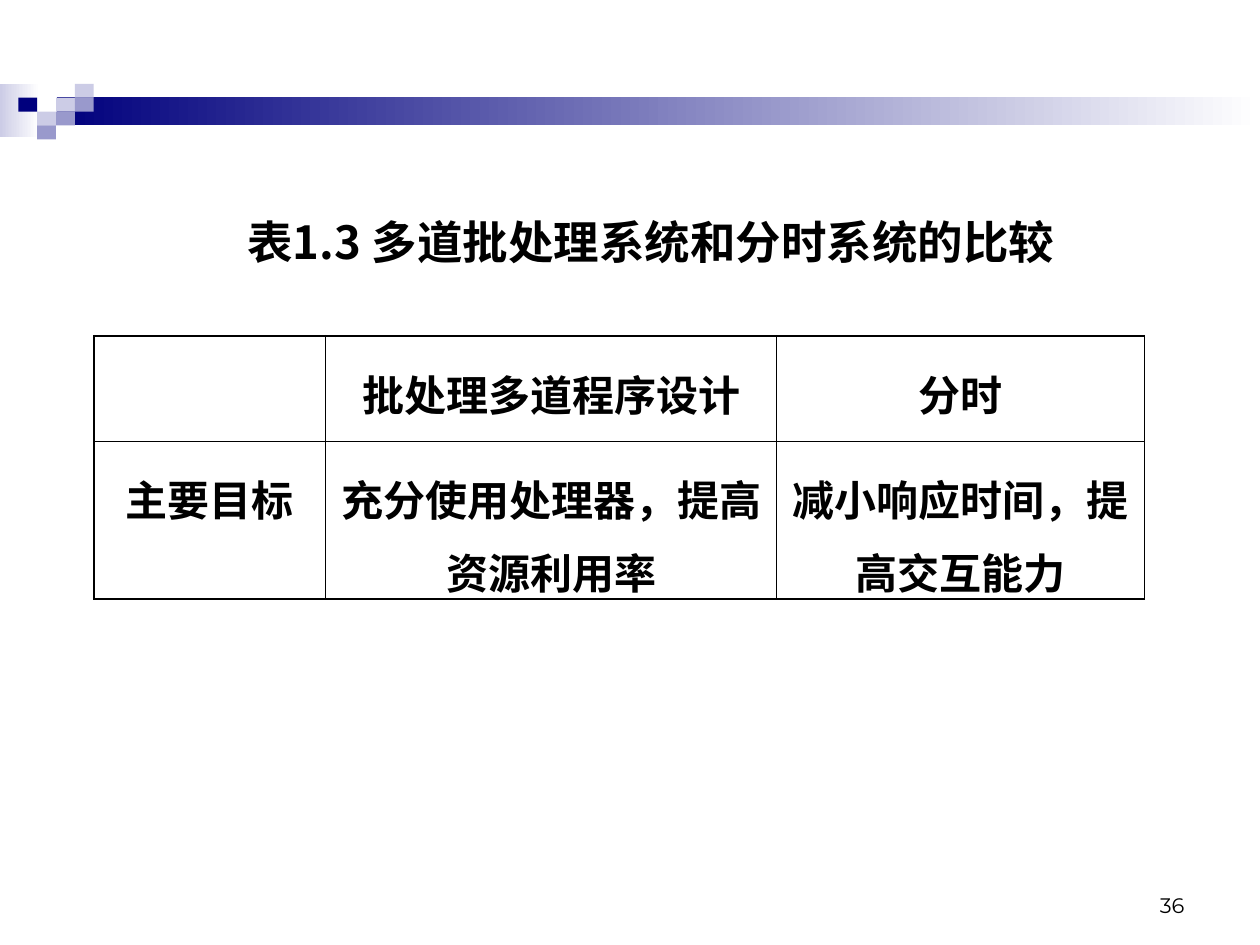
"""Build the slide comparing batch and time-sharing systems."""
from lxml import etree
from pptx import Presentation
from pptx import util as u
from pptx.dml import color
from pptx.enum import shapes, text
from pptx.oxml import ns

TITLE = "表1.3 多道批处理系统和分时系统的比较"
PAGE_NUMBER = "36"
ROWS = [
    ["", "批处理多道程序设计", "分时"],
    ["主要目标", "充分使用处理器，提高资源利用率", "减小响应时间，提高交互能力"],
]
COLUMN_WIDTHS = [4.66, 9.1, 7.41]
ROW_HEIGHTS = [2.12, 3.18]
CJK_FONT = "Noto Sans CJK SC"
NAVY, BLUE, PALE, WHITE, BLACK = "00007D", "9999CC", "CCCCE6", "FFFFFF", "000000"
BANDS = [
    (0, 1.7, 0.79, 1.07, PALE),
    (1.14, 1.96, 24.26, 0.56, NAVY),
]
TILE_WIDTH, TILE_HEIGHT = 0.38, 0.28
TILES = [(2, 1, PALE), (3, 0, PALE), (3, 1, BLUE), (1, 2, PALE),
         (0, 1, NAVY), (2, 2, BLUE), (1, 3, BLUE)]


def rgb(value):
    return color.RGBColor.from_string(value)


def add_block(slide, left, top, width, height):
    block = slide.shapes.add_shape(shapes.MSO_SHAPE.RECTANGLE, u.Cm(left),
                                   u.Cm(top), u.Cm(width), u.Cm(height))
    block.shadow.inherit = False
    block.line.fill.background()
    return block


def add_band(slide, left, top, width, height, start):
    fill = add_block(slide, left, top, width, height).fill
    fill.gradient()
    fill.gradient_angle = 0
    for stop, value, position in zip(fill.gradient_stops, (start, WHITE), (0, 1)):
        stop.color.rgb = rgb(value)
        stop.position = position


def add_tile(slide, column, row, value):
    tile = add_block(slide, 0.37 + column * TILE_WIDTH, 1.69 + row * TILE_HEIGHT,
                     TILE_WIDTH, TILE_HEIGHT)
    tile.fill.solid()
    tile.fill.fore_color.rgb = rgb(value)


def write(frame, words, size, font, align, bold=False):
    frame.text = words
    frame.word_wrap = True
    paragraph = frame.paragraphs[0]
    paragraph.alignment = align
    for run in paragraph.runs:
        run.font.size = u.Pt(size)
        run.font.name = font
        run.font.bold = bold
        run.font.color.rgb = rgb(BLACK)
        etree.SubElement(run.font._element, ns.qn("a:ea"), typeface=CJK_FONT)
    return paragraph


def add_label(slide, box, words, anchor, *style):
    frame = slide.shapes.add_textbox(*map(u.Cm, box)).text_frame
    frame.vertical_anchor = anchor
    write(frame, words, *style)


def add_borders(cell, outer_sides):
    properties = cell._tc.get_or_add_tcPr()
    for index, side in enumerate(("L", "R", "T", "B")):
        width = u.Pt(1.08 if side in outer_sides else 0.45)
        border = etree.Element(ns.qn(f"a:ln{side}"), w=str(width))
        fill = etree.SubElement(border, ns.qn("a:solidFill"))
        etree.SubElement(fill, ns.qn("a:srgbClr"), val=BLACK)
        properties.insert(index, border)


def add_comparison(slide):
    table = slide.shapes.add_table(
        len(ROWS), len(COLUMN_WIDTHS), u.Cm(1.9), u.Cm(6.77),
        u.Cm(sum(COLUMN_WIDTHS)), u.Cm(sum(ROW_HEIGHTS))).table
    for column, width in zip(table.columns, COLUMN_WIDTHS):
        column.width = u.Cm(width)
    for r, (words_row, height) in enumerate(zip(ROWS, ROW_HEIGHTS)):
        table.rows[r].height = u.Cm(height)
        for c, words in enumerate(words_row):
            cell = table.cell(r, c)
            cell.fill.background()
            cell.margin_top = u.Cm(0.29)
            cell.margin_bottom = 0
            paragraph = write(cell.text_frame, words, 24, "Arial",
                              text.PP_ALIGN.CENTER, True)
            paragraph.line_spacing = 1.2
            edges = {"L": c == 0, "R": c == len(words_row) - 1,
                     "T": r == 0, "B": r == len(ROWS) - 1}
            add_borders(cell, [side for side, outer in edges.items() if outer])


def main():
    deck = Presentation()
    deck.slide_width, deck.slide_height = u.Cm(25.4), u.Cm(19.05)
    slide = deck.slides.add_slide(deck.slide_layouts[6])
    for band in BANDS:
        add_band(slide, *band)
    for tile in TILES:
        add_tile(slide, *tile)
    add_label(slide, (18.2, 17.36, 5.93, 1.27), PAGE_NUMBER,
              text.MSO_ANCHOR.BOTTOM, 12, "Montserrat", text.PP_ALIGN.RIGHT)
    add_label(slide, (1.7, 4.02, 22.86, 1.69), TITLE,
              text.MSO_ANCHOR.MIDDLE, 26, CJK_FONT, text.PP_ALIGN.CENTER, True)
    add_comparison(slide)
    deck.save("out.pptx")


if __name__ == "__main__":
    main()
